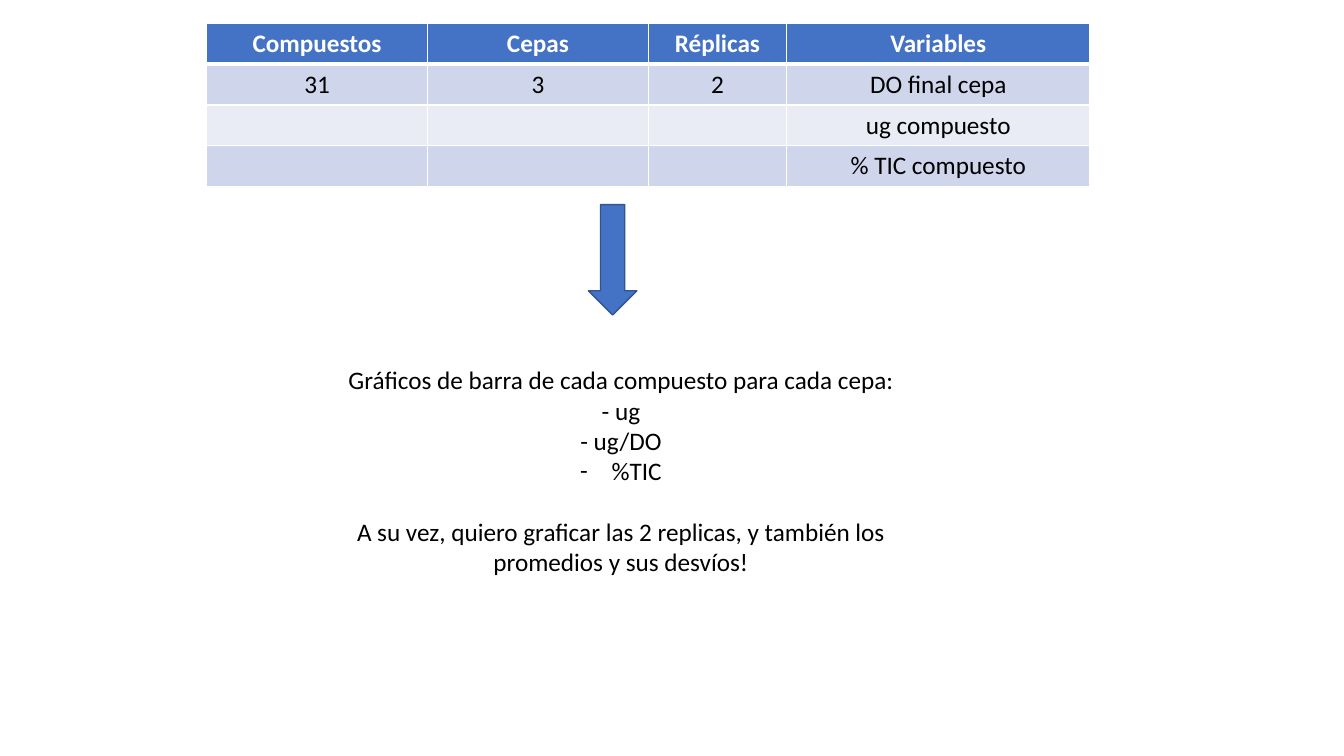
import pptx
import pptx.util
import pptx.dml.color
import pptx.enum.shapes
import pptx.enum.text
import pptx.oxml
import pptx.oxml.ns
from dataclasses import dataclass

Pt = pptx.util.Pt

HEADINGS = ["Compuestos", "Cepas", "Réplicas", "Variables"]
ROWS = [
    ["31", "3", "2", "DO final cepa"],
    ["", "", "", "ug compuesto"],
    ["", "", "", "% TIC compuesto"],
]
PLAN = [
    {"text": "Gráficos de barra de cada compuesto para cada cepa:"},
    {"text": "- ug"},
    {"text": "- ug/DO"},
    {"text": "%TIC", "bullet": "-"},
    {
        "text": "A su vez, quiero graficar las 2 replicas, y también los promedios y sus desvíos!",
        "space_before": 22,
    },
]

COLUMN_WIDTHS = [157.8, 157.8, 98.7, 216.8]
ROW_HEIGHT = 29.2
TABLE_LEFT, TABLE_TOP = 147.6, 16.6
ARROW = (420.3, 146.2, 34.6, 78.8)
PLAN_BOX = (218.2, 257, 450.7, 160)


@dataclass(frozen=True)
class Theme:
    font: str = "Calibri"
    size: float = 18
    ink: str = "000000"
    white: str = "FFFFFF"
    accent: str = "4472C4"
    outline: str = "325491"
    bands: tuple = ("CFD5EA", "E9EBF5")
    bullet_indent: float = 22.5
    thin: float = 1
    thick: float = 3


THEME = Theme()


def color(value):
    return pptx.dml.color.RGBColor.from_string(value)


def xml(tag, attributes, content=""):
    namespace = pptx.oxml.ns.nsdecls("a")
    return pptx.oxml.parse_xml(f"<a:{tag} {namespace} {attributes}>{content}</a:{tag}>")


def write(para, text, ink=THEME.ink, bold=False, space_before=0, bullet=None):
    para.alignment = pptx.enum.text.PP_ALIGN.CENTER
    para.space_before = Pt(space_before)
    if bullet:
        properties = para._p.get_or_add_pPr()
        indent = Pt(THEME.bullet_indent)
        properties.set("marL", str(indent))
        properties.set("indent", str(-indent))
        properties.append(xml("buFont", f'typeface="{THEME.font}"'))
        properties.append(xml("buChar", f'char="{bullet}"'))
    span = para.add_run()
    span.text = text
    span.font.name = THEME.font
    span.font.size = Pt(THEME.size)
    span.font.bold = bold
    span.font.color.rgb = color(ink)


def set_borders(cell, top, bottom):
    widths = {"lnL": THEME.thin, "lnR": THEME.thin, "lnT": top, "lnB": bottom}
    fill = f'<a:solidFill><a:srgbClr val="{THEME.white}"/></a:solidFill>'
    properties = cell._tc.get_or_add_tcPr()
    for position, (side, width) in enumerate(widths.items()):
        properties.insert(position, xml(side, f'w="{Pt(width)}"', fill))


def add_variables_table(page):
    content = [HEADINGS] + ROWS
    frame = page.shapes.add_table(
        len(content), len(HEADINGS), Pt(TABLE_LEFT), Pt(TABLE_TOP),
        Pt(sum(COLUMN_WIDTHS)), Pt(ROW_HEIGHT * len(content)),
    )
    table = frame.table
    for column, width in zip(table.columns, COLUMN_WIDTHS):
        column.width = Pt(width)
    for index, texts in enumerate(content):
        header = index == 0
        table.rows[index].height = Pt(ROW_HEIGHT)
        for position, text in enumerate(texts):
            cell = table.cell(index, position)
            cell.fill.solid()
            cell.fill.fore_color.rgb = color(
                THEME.accent if header else THEME.bands[(index - 1) % 2]
            )
            set_borders(
                cell,
                top=THEME.thick if index == 1 else THEME.thin,
                bottom=THEME.thick if header else THEME.thin,
            )
            if text:
                ink = THEME.white if header else THEME.ink
                write(cell.text_frame.paragraphs[0], text, ink=ink, bold=header)


def add_arrow(page):
    arrow = page.shapes.add_shape(
        pptx.enum.shapes.MSO_SHAPE.DOWN_ARROW, *map(Pt, ARROW)
    )
    arrow.shadow.inherit = False
    arrow.fill.solid()
    arrow.fill.fore_color.rgb = color(THEME.accent)
    arrow.line.color.rgb = color(THEME.outline)
    arrow.line.width = Pt(THEME.thin)


def add_plan(page):
    box = page.shapes.add_textbox(*map(Pt, PLAN_BOX))
    frame = box.text_frame
    frame.word_wrap = True
    frame.auto_size = pptx.enum.text.MSO_AUTO_SIZE.SHAPE_TO_FIT_TEXT
    for index, line in enumerate(PLAN):
        para = frame.add_paragraph() if index else frame.paragraphs[0]
        write(para, **line)


def main():
    deck = pptx.Presentation()
    deck.slide_width, deck.slide_height = Pt(960), Pt(540)
    page = deck.slides.add_slide(deck.slide_layouts[6])
    add_variables_table(page)
    add_arrow(page)
    add_plan(page)
    deck.save("out.pptx")


if __name__ == "__main__":
    main()
